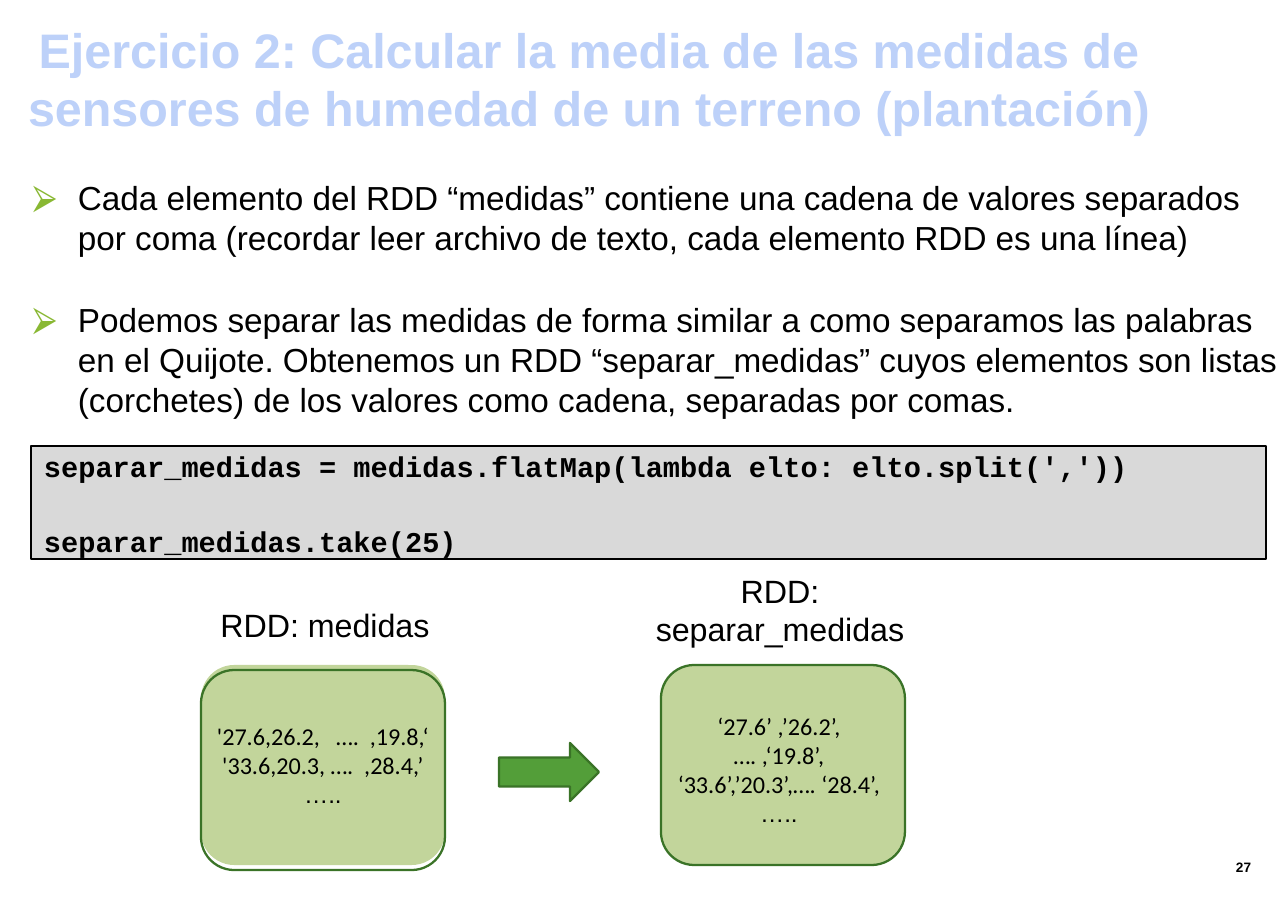
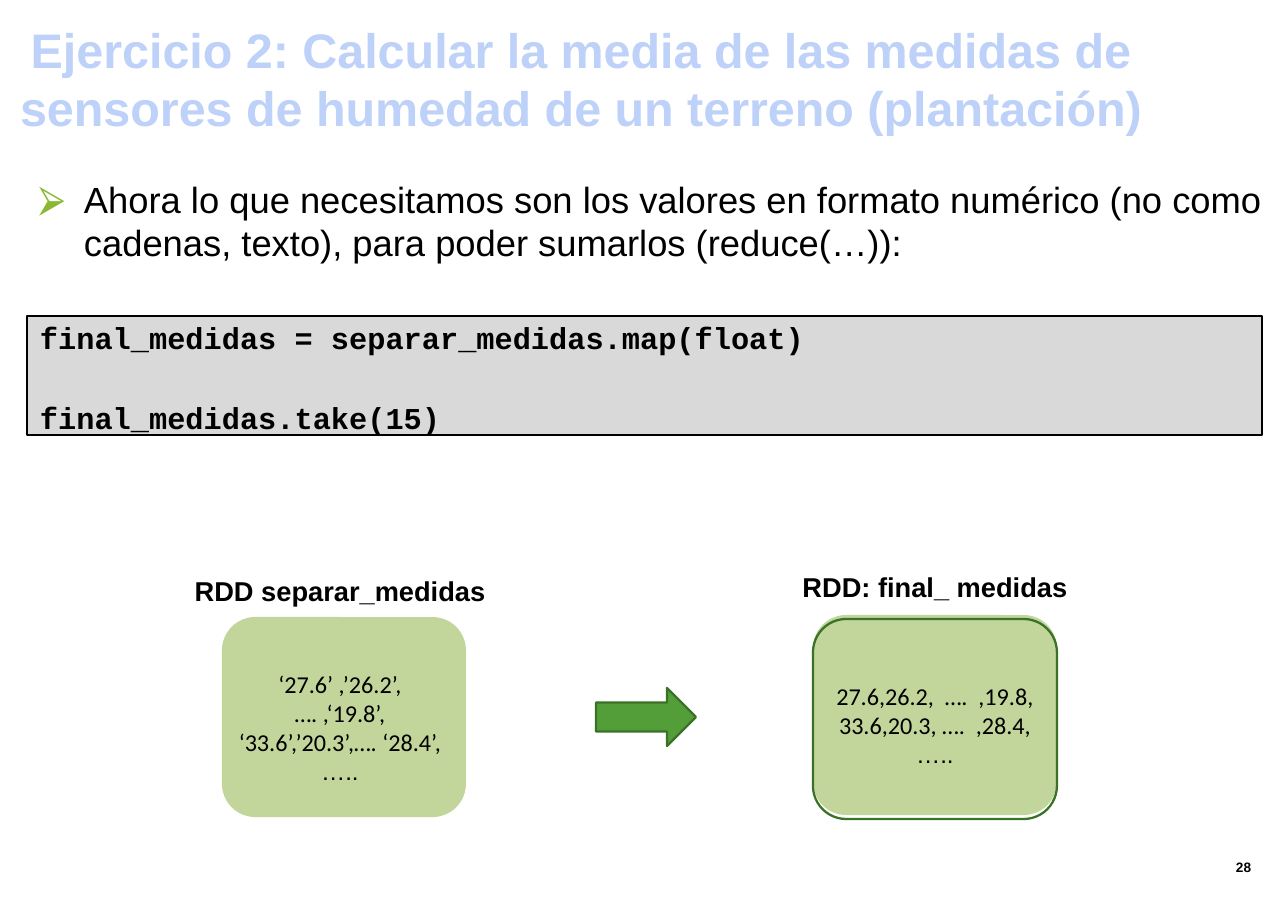
from lxml.etree import SubElement
from pptx import Presentation
from pptx.dml.color import RGBColor
from pptx.enum.shapes import MSO_SHAPE as Shape
from pptx.enum.text import MSO_ANCHOR as Anchor, MSO_AUTO_SIZE as AutoSize, PP_ALIGN as Align
from pptx.oxml.ns import qn
from pptx.util import Pt

EMU_PER_PX = 914400 / 109
COLORS = {
    "title": "BDD1F9",
    "text": "000000",
    "bullet": "89B833",
    "code": "D9D9D9",
    "data": "C2D59B",
    "arrow": "539E39",
    "outline": "3A7327",
}
TITLE = ("Ejercicio 2: Calcular la media de las medidas de "
         "sensores de humedad de un terreno (plantación)")
SPLIT_VALUES = ["‘27.6’ ,’26.2’, …. ,‘19.8’,", "‘33.6’,’20.3’,…. ‘28.4’,", "….."]
DATA_WIDTH, DATA_HEIGHT = 244, 200


def px(value):
    return round(value * EMU_PER_PX)


def color(name):
    return RGBColor.from_string(COLORS[name])


def place(shape, left, top, width, height):
    shape.left, shape.top = px(left), px(top)
    shape.width, shape.height = px(width), px(height)


def add_bullet(paragraph):
    properties = paragraph._p.get_or_add_pPr()
    properties.set("marL", str(px(47)))
    properties.set("indent", str(-px(45)))
    bullet_color = SubElement(properties, qn("a:buClr"))
    SubElement(bullet_color, qn("a:srgbClr"), val=COLORS["bullet"])
    SubElement(properties, qn("a:buFont"), typeface="Arial")
    SubElement(properties, qn("a:buChar"), char="⮚")


def write(shape, lines, size, font="Arial", fill="text", bold=False, align=Align.LEFT,
          anchor=Anchor.TOP, margins=(0, 0, 0, 0), gap=0, bullets=False):
    frame = shape.text_frame
    frame.word_wrap = True
    frame.auto_size = AutoSize.NONE
    frame.vertical_anchor = anchor
    (frame.margin_left, frame.margin_top,
     frame.margin_right, frame.margin_bottom) = map(px, margins)
    for index, line in enumerate(lines):
        paragraph = frame.paragraphs[0] if index == 0 else frame.add_paragraph()
        paragraph.alignment = align
        paragraph.space_before = Pt(gap if index else 0)
        run = paragraph.add_run()
        run.text = line
        run.font.size = Pt(size)
        run.font.name = font
        run.font.bold = bold
        run.font.color.rgb = color(fill)
        if bullets:
            add_bullet(paragraph)


def add_shape(slide, kind, box, fill=None, line=None, line_width=1.5):
    shape = slide.shapes.add_shape(kind, *map(px, box))
    shape.shadow.inherit = False
    if fill:
        shape.fill.solid()
        shape.fill.fore_color.rgb = color(fill)
    else:
        shape.fill.background()
    if line:
        shape.line.color.rgb = color(line)
        shape.line.width = Pt(line_width)
    else:
        shape.line.fill.background()
    return shape


def add_text(slide, box, lines, size, **style):
    write(slide.shapes.add_textbox(*map(px, box)), lines, size, **style)


def add_slide(presentation, number, title_width, bullets, body_box, body_size, gap=0):
    slide = presentation.slides.add_slide(presentation.slide_layouts[1])
    title, body = slide.placeholders
    place(title, 0, 15, title_width, 129)
    write(title, [TITLE], 32, fill="title", bold=True, align=Align.CENTER,
          margins=(11, 5, 11, 5))
    place(body, *body_box)
    write(body, bullets, body_size, margins=(0, 2, 0, 0), gap=gap, bullets=True)
    add_text(slide, (1225, 845, 50, 44), [str(number)], 9, bold=True,
             anchor=Anchor.MIDDLE, margins=(11, 5, 11, 5))
    return slide


def add_code(slide, box, lines, size, gap):
    block = add_shape(slide, Shape.RECTANGLE, box, "code", "text", 1)
    write(block, lines, size, font="Courier New", bold=True, margins=(13, 3, 0, 0), gap=gap)


def add_dataset(slide, left, top, values, shift=(0, 0), outline_drop=None):
    box = (left, top, DATA_WIDTH, DATA_HEIGHT)
    line = "outline" if outline_drop == 0 else None
    card = add_shape(slide, Shape.ROUNDED_RECTANGLE, box, "data", line)
    across, down = shift
    write(card, values, 16, font="Calibri", align=Align.CENTER, anchor=Anchor.MIDDLE,
          margins=(max(0, 2 * across), 2 * down, max(0, -2 * across), 0))
    card.text_frame.paragraphs[-1].runs[0].font.name = "Arial"
    if outline_drop:
        add_shape(slide, Shape.ROUNDED_RECTANGLE,
                  (left, top + outline_drop, DATA_WIDTH, DATA_HEIGHT), line="outline")


def add_label(slide, center, top, width, text, size, bold=False):
    add_text(slide, (center - width // 2, top, width, 80), [text], size,
             bold=bold, align=Align.CENTER)


def add_arrow(slide, left, top):
    add_shape(slide, Shape.RIGHT_ARROW, (left, top, 100, 58), "arrow", "outline")


def build_split_slide(presentation):
    bullets = [
        "Cada elemento del RDD “medidas” contiene una cadena de valores separados "
        "por coma (recordar leer archivo de texto, cada elemento RDD es una línea)",
        "Podemos separar las medidas de forma similar a como separamos las palabras "
        "en el Quijote. Obtenemos un RDD “separar_medidas” cuyos elementos son listas "
        "(corchetes) de los valores como cadena, separadas por comas.",
    ]
    slide = add_slide(presentation, 27, 1180, bullets, (31, 175, 1257, 247), 22, gap=28)
    add_code(slide, (31, 446, 1235, 113),
             ["separar_medidas = medidas.flatMap(lambda elto: elto.split(','))",
              "separar_medidas.take(25)"], 18.9, gap=27)
    add_label(slide, 325, 605, 248, "RDD: medidas", 21.3)
    add_label(slide, 780, 571, 306, "RDD: separar_medidas", 21.3)
    add_dataset(slide, 201, 665,
                ["'27.6,26.2,   ….  ,19.8,‘", "'33.6,20.3, ….  ,28.4,’", "….."],
                outline_drop=5)
    add_dataset(slide, 661, 665, SPLIT_VALUES, shift=(-4, 4), outline_drop=0)
    add_arrow(slide, 499, 743)


def build_float_slide(presentation):
    bullets = ["Ahora lo que necesitamos son los valores en formato numérico (no como "
               "cadenas, texto), para poder sumarlos (reduce(…)):"]
    slide = add_slide(presentation, 28, 1164, bullets, (37, 175, 1251, 90), 24)
    add_code(slide, (27, 316, 1235, 119),
             ["final_medidas = separar_medidas.map(float)", "final_medidas.take(15)"],
             20, gap=29)
    add_label(slide, 340, 574, 306, "RDD separar_medidas", 18, bold=True)
    add_label(slide, 935, 570, 282, "RDD: final_ medidas", 18, bold=True)
    add_dataset(slide, 222, 617, SPLIT_VALUES, shift=(-4, 10))
    add_dataset(slide, 813, 615,
                ["27.6,26.2,  ….  ,19.8,", "33.6,20.3, ….  ,28.4,", "….."],
                shift=(0, 10), outline_drop=4)
    add_arrow(slide, 596, 688)


def main():
    presentation = Presentation()
    presentation.slide_width, presentation.slide_height = px(1288), px(923)
    build_split_slide(presentation)
    build_float_slide(presentation)
    presentation.save("out.pptx")


if __name__ == "__main__":
    main()
